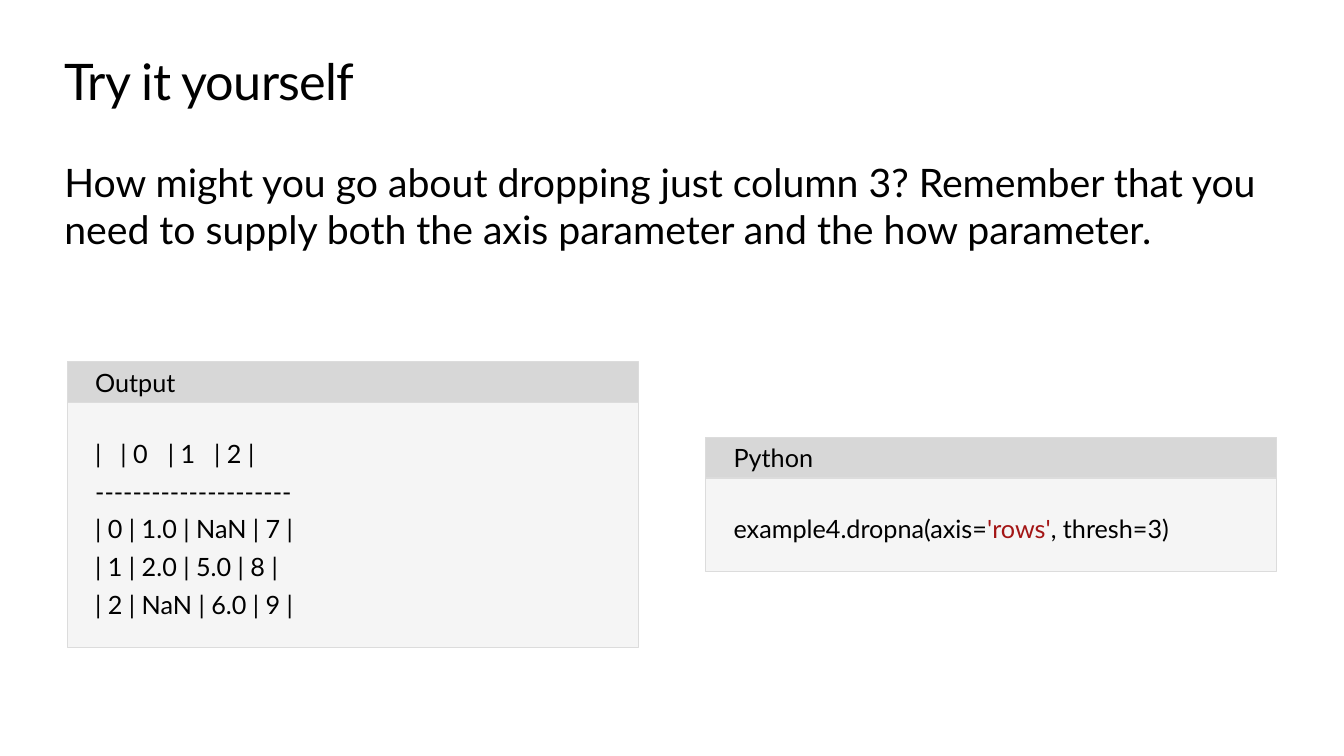
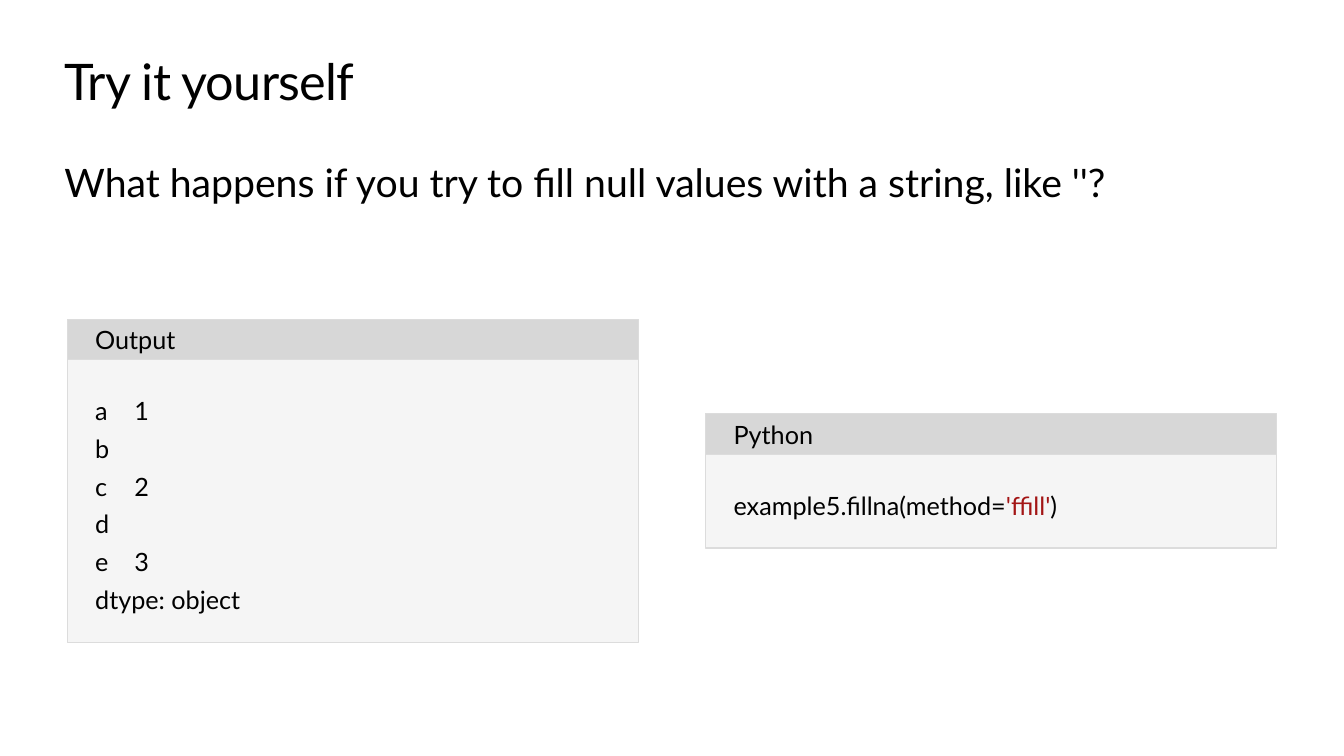
from dataclasses import dataclass

from lxml import etree
from pptx import Presentation
from pptx.dml.color import RGBColor
from pptx.enum.shapes import MSO_SHAPE
from pptx.enum.text import MSO_ANCHOR, PP_ALIGN
from pptx.oxml.ns import qn
from pptx.util import Pt

RECTANGLE = MSO_SHAPE.RECTANGLE
TOP, MIDDLE = MSO_ANCHOR.TOP, MSO_ANCHOR.MIDDLE
LEFT = PP_ALIGN.LEFT


@dataclass(frozen=True)
class Theme:
    font: str = "Lato"
    ink: str = "000000"
    string: str = "A31515"
    panel: str = "F5F5F5"
    header: str = "D7D7D7"
    border: str = "DCDCDC"
    title_size: float = 36
    question_size: float = 28
    code_size: float = 18
    title_tracking: float = -0.5


THEME = Theme()

# Layout, in points
SLIDE_WIDTH, SLIDE_HEIGHT = 960, 540
TEXT_LEFT, TEXT_WIDTH = 46, 868
TITLE_TOP, TITLE_HEIGHT = 36, 43
QUESTION_TOP, QUESTION_LINE = 113, 33.5
PANEL_LEFTS, PANEL_WIDTH = (48, 504), 408
HEADER_HEIGHT, PADDING = 29, 20
CODE_LINE, CODE_SPACING = 27, 1.25

# Each line of code is a list of (text, colour) spans
OUTPUT_TABLE = [
    [("|\t| 0\t| 1\t| 2 |", THEME.ink)],
    [("---------------------", THEME.ink)],
    [("| 0 | 1.0 | NaN | 7 |", THEME.ink)],
    [("| 1 | 2.0 | 5.0 | 8 |", THEME.ink)],
    [("| 2 | NaN | 6.0 | 9 |", THEME.ink)],
]
DROP_CODE = [[("example4.dropna(axis=", THEME.ink), ("'rows'", THEME.string),
              (", thresh=3)", THEME.ink)]]
OUTPUT_SERIES = [[(line, THEME.ink)] for line in
                 ("a\t1", "b", "c\t2", "d", "e\t3", "dtype: object")]
FILL_CODE = [[("example5.fillna(method=", THEME.ink), ("'ffill'", THEME.string),
              (")", THEME.ink)]]

EXERCISES = [
    {"question": "How might you go about dropping just column 3? Remember that you "
                 "need to supply both the axis parameter and the how parameter.",
     "question_lines": 2, "middle": 360.5,
     "panels": [("Output", OUTPUT_TABLE, (18, 52, 85)),
                ("Python", DROP_CODE, ())]},
    {"question": "What happens if you try to fill null values with a string, like ''?",
     "question_lines": 1, "middle": 343.5,
     "panels": [("Output", OUTPUT_SERIES, (28,)),
                ("Python", FILL_CODE, ())]},
]


def set_values(target, values):
    for name, value in values.items():
        setattr(target, name, value)


def set_frame(frame, insets, anchor):
    left, top, right, bottom = map(Pt, insets)
    set_values(frame, {"margin_left": left, "margin_top": top,
                       "margin_right": right, "margin_bottom": bottom,
                       "vertical_anchor": anchor, "word_wrap": True})


def add_span(para, text, size, color=THEME.ink, tracking=0):
    span = para.add_run()
    span.text = text
    set_values(span.font, {"name": THEME.font, "size": Pt(size)})
    span.font.color.rgb = RGBColor.from_string(color)
    if tracking:
        span.font._element.set("spc", str(round(tracking * 100)))


def add_tab_stops(para, stops):
    tab_list = etree.SubElement(para._p.get_or_add_pPr(), qn("a:tabLst"))
    for stop in stops:
        etree.SubElement(tab_list, qn("a:tab"), pos=str(int(Pt(stop))), algn="l")


def add_text(page, top, height, text, size, tracking=0):
    box = page.shapes.add_textbox(Pt(TEXT_LEFT), Pt(top), Pt(TEXT_WIDTH), Pt(height))
    set_frame(box.text_frame, (0, 0, 0, 0), TOP)
    add_span(box.text_frame.paragraphs[0], text, size, tracking=tracking)


def add_block(page, left, top, height, fill, insets):
    """Add a bordered rectangle and return its first paragraph."""
    box = page.shapes.add_shape(RECTANGLE, Pt(left), Pt(top), Pt(PANEL_WIDTH), Pt(height))
    box.shadow.inherit = False
    box.fill.solid()
    box.fill.fore_color.rgb = RGBColor.from_string(fill)
    box.line.color.rgb = RGBColor.from_string(THEME.border)
    box.line.width = Pt(0.85)
    set_frame(box.text_frame, insets, MIDDLE)
    para = box.text_frame.paragraphs[0]
    para.alignment = LEFT
    return para


def add_code_panel(page, left, middle, label, lines, stops):
    """Add a labelled code panel, centred vertically on middle."""
    code_height = 2 * PADDING + CODE_LINE * len(lines)
    top = middle - (HEADER_HEIGHT + code_height) / 2

    # Code
    para = add_block(page, left, top + HEADER_HEIGHT, code_height,
                     THEME.panel, (PADDING,) * 4)
    para.line_spacing = CODE_SPACING
    if stops:
        add_tab_stops(para, stops)
    for index, line in enumerate(lines):
        if index:
            para.add_line_break()
        for text, color in line:
            add_span(para, text, THEME.code_size, color)

    # Header
    para = add_block(page, left, top, HEADER_HEIGHT, THEME.header, (PADDING, 3.6, 7.2, 3.6))
    add_span(para, label, THEME.code_size)


def add_exercise(deck, exercise):
    page = deck.slides.add_slide(deck.slide_layouts[6])
    add_text(page, TITLE_TOP, TITLE_HEIGHT, "Try it yourself",
             THEME.title_size, THEME.title_tracking)
    add_text(page, QUESTION_TOP, QUESTION_LINE * exercise["question_lines"],
             exercise["question"], THEME.question_size)
    for left, panel in zip(PANEL_LEFTS, exercise["panels"]):
        add_code_panel(page, left, exercise["middle"], *panel)


def main():
    deck = Presentation()
    set_values(deck, {"slide_width": Pt(SLIDE_WIDTH), "slide_height": Pt(SLIDE_HEIGHT)})
    for exercise in EXERCISES:
        add_exercise(deck, exercise)
    deck.save("out.pptx")


if __name__ == "__main__":
    main()
